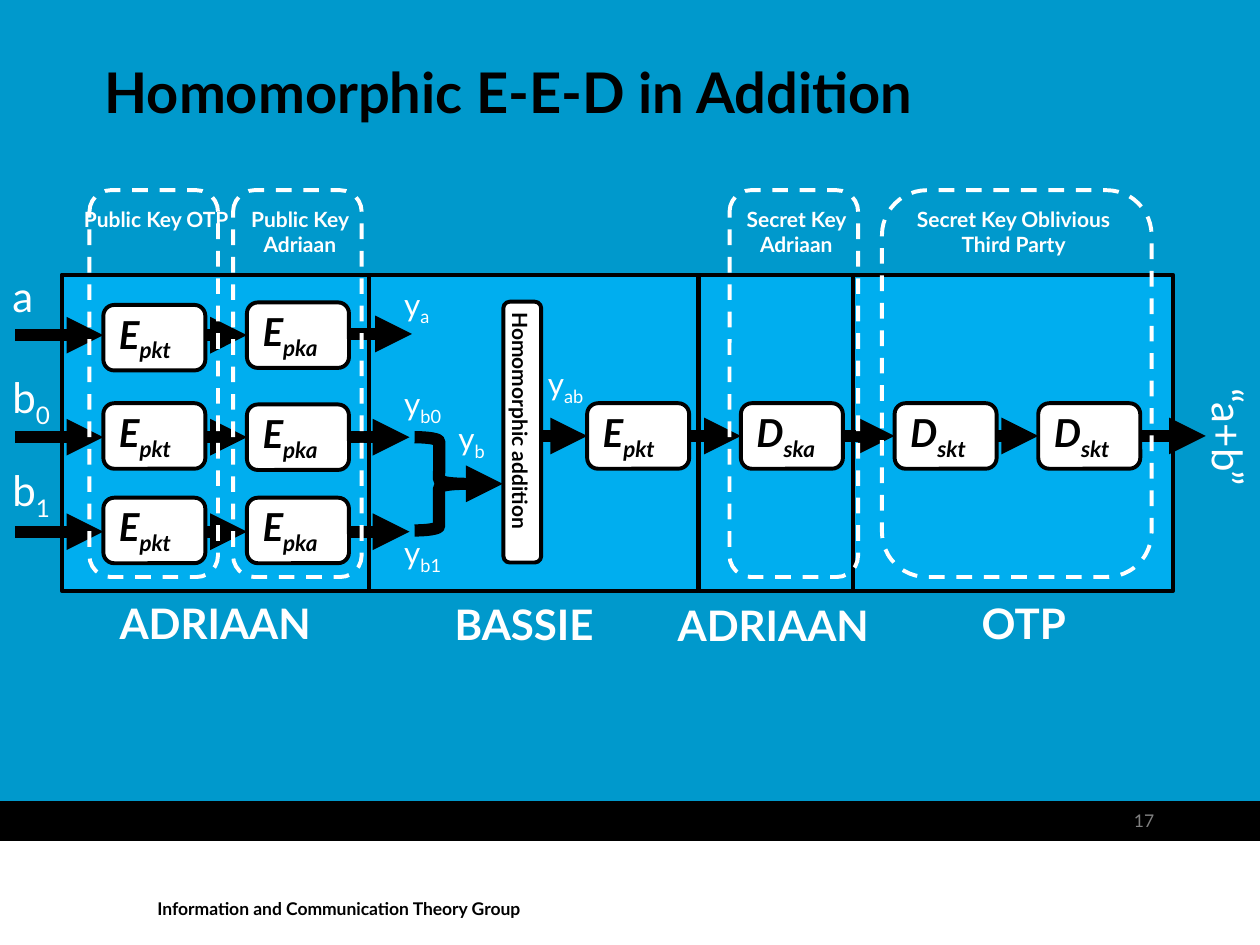
from lxml import etree
from pptx import Presentation
from pptx.dml.color import RGBColor
from pptx.enum import dml, shapes, text
from pptx.oxml import ns
from pptx.util import Inches, Pt

FONT = "Lato"
BLACK = RGBColor(0x00, 0x00, 0x00)
WHITE = RGBColor(0xFF, 0xFF, 0xFF)
GREY = RGBColor(0x80, 0x80, 0x80)
BACKDROP = RGBColor(0x00, 0x99, 0xCC)
PANEL = RGBColor(0x00, 0xAE, 0xEF)
LEFT, CENTER, RIGHT = text.PP_ALIGN.LEFT, text.PP_ALIGN.CENTER, text.PP_ALIGN.RIGHT
KIND = shapes.MSO_SHAPE


def write(sp, base, size, color=WHITE, sub="", bold=False, italic=False,
          align=LEFT, inset=(0.1, 0.05)):
    """Fill a shape with text, with an optional subscript after it."""
    tf = sp.text_frame
    tf.word_wrap = True
    tf.vertical_anchor = text.MSO_ANCHOR.TOP
    tf.margin_left = tf.margin_right = Inches(inset[0])
    tf.margin_top = tf.margin_bottom = Inches(inset[1])
    p = tf.paragraphs[0]
    p.text = base
    p.alignment = align
    if sub:
        r = p.add_run()
        r.text = sub
        r.font._element.set("baseline", "-25000")
    for r in p.runs:
        r.font.name = FONT
        r.font.size = Pt(size)
        r.font.bold = bold
        r.font.italic = italic
        r.font.color.rgb = color


def add_outlined(kind, x, y, w, h, fill=None, line=BLACK, width=2.25):
    sp = slide.shapes.add_shape(kind, Inches(x), Inches(y), Inches(w), Inches(h))
    sp.shadow.inherit = False
    if fill is None:
        sp.fill.background()
    else:
        sp.fill.solid()
        sp.fill.fore_color.rgb = fill
    sp.line.color.rgb = line
    sp.line.width = Pt(width)
    return sp


prs = Presentation()
prs.slide_width, prs.slide_height = Inches(10), Inches(7.5)
slide = prs.slides.add_slide(prs.slide_layouts[5])
slide.background.fill.solid()
slide.background.fill.fore_color.rgb = BACKDROP

# Title and footer
title = slide.shapes.title
title.left, title.top = Inches(0.83), Inches(0.39)
title.width, title.height = Inches(8.5), Inches(0.67)
write(title, "Homomorphic E-E-D in Addition", 32, BLACK, bold=True, inset=(0, 0.05))
title.text_frame.vertical_anchor = text.MSO_ANCHOR.MIDDLE

footer = add_outlined(KIND.RECTANGLE, 0, 6.67, 10, 0.83, WHITE)
footer.line.fill.background()
add_outlined(KIND.RECTANGLE, 0, 6.36, 10, 0.31, BLACK, width=0.75)
sp = slide.shapes.add_textbox(Inches(1.25), Inches(7.08), Inches(3.5), Inches(0.33))
write(sp, "Information and Communication Theory Group", 10, BLACK, bold=True,
      inset=(0, 0.05))
sp = slide.shapes.add_textbox(Inches(7.08), Inches(6.38), Inches(2.08), Inches(0.25))
write(sp, "17", 10, GREY, align=RIGHT, inset=(0, 0.05))

# One panel per party, with its name below
for x, w, name, name_x, name_y, name_w, align in [
    (6.76, 2.55, "OTP", 6.93, 4.69, 2.39, CENTER),
    (5.55, 1.22, "ADRIAAN", 5.28, 4.71, 1.88, LEFT),
    (2.92, 2.62, "BASSIE", 3.51, 4.7, 1.61, LEFT),
    (0.49, 2.44, "ADRIAAN", 0.85, 4.69, 1.88, LEFT),
]:
    add_outlined(KIND.RECTANGLE, x, 2.18, w, 2.51, PANEL)
    sp = slide.shapes.add_textbox(Inches(name_x), Inches(name_y), Inches(name_w), Inches(0.5))
    write(sp, name, 24, bold=True, align=align)

# Homomorphic addition, fed by the brace that joins b0 and b1
sp = add_outlined(KIND.ROUNDED_RECTANGLE, 3.11, 3.28, 2.07, 0.3, WHITE)
sp.rotation = 90
write(sp, "Homomorphic addition", 12, BLACK, bold=True, inset=(0.07, 0.05))
add_outlined(KIND.RIGHT_BRACE, 3.29, 3.47, 0.39, 0.74, width=7)

# Encryption and decryption steps
for x, y, letter, key in [
    (0.82, 2.42, "E", "pkt"), (1.96, 2.4, "E", "pka"),
    (0.82, 3.2, "E", "pkt"), (1.96, 3.21, "E", "pka"),
    (0.82, 3.95, "E", "pkt"), (1.96, 3.95, "E", "pka"),
    (4.66, 3.2, "E", "pkt"), (5.88, 3.2, "D", "ska"),
    (7.1, 3.2, "D", "skt"), (8.24, 3.2, "D", "skt"),
]:
    sp = add_outlined(KIND.ROUNDED_RECTANGLE, x, y, 0.81, 0.52, WHITE)
    write(sp, letter, 22, BLACK, sub=key, bold=True, italic=True, inset=(0.1, 0.02))

# Arrows: all run level, from left to right
arrows = [(2.77, 3.27, 2.65), (2.77, 3.25, 3.47), (2.77, 3.25, 4.22), (3.57, 3.99, 3.84)]
for y in (2.66, 3.47, 4.22):
    arrows += [(0.12, 0.82, y), (1.63, 1.96, y)]
for x1, x2 in [(4.29, 4.66), (5.47, 5.88), (6.69, 7.1), (7.91, 8.24), (9.06, 9.57)]:
    arrows.append((x1, x2, 3.46))
for x1, x2, y in arrows:
    arrow = slide.shapes.add_connector(
        shapes.MSO_CONNECTOR.STRAIGHT, Inches(x1), Inches(y), Inches(x2), Inches(y))
    arrow.line.color.rgb = BLACK
    arrow.line.width = Pt(7)
    etree.SubElement(arrow.line._get_or_add_ln(), ns.qn("a:tailEnd"), type="triangle")
    etree.SubElement(arrow._element.spPr, ns.qn("a:effectLst"))

# Signal names
for x, y, w, size, letter, sub in [
    (0, 2.1, 0.4, 24, "a", ""), (0, 2.9, 0.52, 24, "b", "0"), (0, 3.64, 0.52, 24, "b", "1"),
    (3.11, 2.21, 0.48, 18, "y", "a"), (3.11, 3, 0.63, 18, "y", "b0"),
    (3.11, 4.18, 0.59, 18, "y", "b1"), (3.54, 3.28, 0.48, 18, "y", "b"),
    (4.25, 2.84, 0.55, 18, "y", "ab"),
]:
    sp = slide.shapes.add_textbox(Inches(x), Inches(y), Inches(w), Inches(size / 45))
    write(sp, letter, size, sub=sub)
sp = slide.shapes.add_textbox(Inches(9.16), Inches(3.22), Inches(1.18), Inches(0.5))
sp.rotation = 90
write(sp, "“a+b”", 24, align=CENTER)

# Dashed frames show which key each group of steps uses
for x, w, caption, caption_x, caption_w in [
    (0.71, 1.02, "Public Key OTP", 0.55, 1.38),
    (1.85, 1.02, "Public Key Adriaan", 1.69, 1.38),
    (5.79, 1.02, "Secret Key Adriaan", 5.63, 1.38),
    (7, 2.14, "Secret Key Oblivious Third Party", 6.98, 2.13),
]:
    sp = slide.shapes.add_textbox(Inches(caption_x), Inches(1.59), Inches(caption_w), Inches(0.5))
    write(sp, caption, 12, bold=True, align=CENTER)
    frame = add_outlined(KIND.ROUNDED_RECTANGLE, x, 1.51, w, 3.07, line=WHITE)
    frame.line.dash_style = dml.MSO_LINE.DASH

prs.save("out.pptx")
